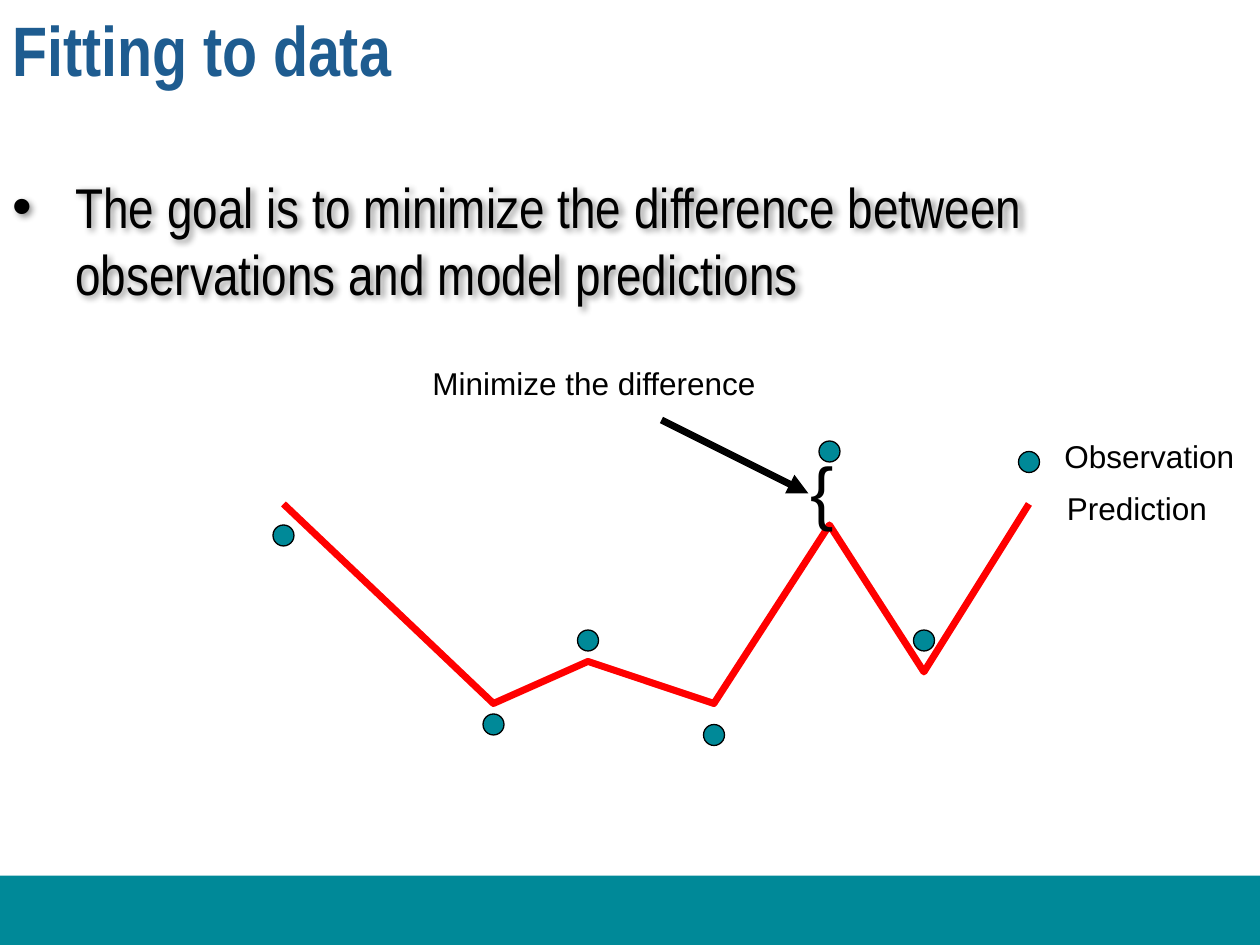
import pptx
import pptx.util
import pptx.dml.color
import pptx.enum.shapes
import pptx.enum.text
import pptx.oxml
import pptx.oxml.ns

Pt = pptx.util.Pt
Kind = pptx.enum.shapes.MSO_SHAPE
Align = pptx.enum.text.PP_ALIGN


class Theme:
    teal, blue, red, black = "008998", "1E5C90", "FF0000", "000000"
    head, body = "Arial Narrow", "Arial"
    title, goal, label, brace = 40, 32, 18, 40
    thick, thin = 4, 0.75


WIDE, HIGH, FOOT = 720, 540, 39.6
DOT = 12
TITLE = "Fitting to data"
GOAL = "The goal is to minimize the difference between observations and model predictions"

# Points of the model curve and centres of the observations
MODEL = [(162, 288), (282, 402), (336, 378), (408, 402),
         (474, 300), (528, 384), (588, 288)]
SEEN = [(162, 306), (282, 414), (336, 366), (408, 420),
        (474, 258), (528, 366)]
KEY = (588, 264)
ARROW = (378, 240, 462, 282)

# Text, left, top, width, height, size, alignment
LABELS = [
    ("Observation", 601.2, 246.2, 112.3, 28.8, Theme.label, Align.LEFT),
    ("Prediction", 602.6, 275.8, 95, 28.8, Theme.label, Align.LEFT),
    ("Minimize the difference", 239, 204.5, 200.9, 28.8, Theme.label, Align.CENTER),
    ("{", 455.8, 252, 28.1, 55.4, Theme.brace, Align.LEFT),
]


def color(code):
    return pptx.dml.color.RGBColor.from_string(code)


def add_xml(parent, text):
    space = pptx.oxml.ns.nsdecls("a")
    parent.append(pptx.oxml.parse_xml(text.replace(" ", f" {space} ", 1)))


def paint(item, fill=None, line=None, width=0):
    item.shadow.inherit = False
    if fill:
        item.fill.solid()
        item.fill.fore_color.rgb = color(fill)
    else:
        item.fill.background()
    if line:
        item.line.color.rgb = color(line)
        item.line.width = Pt(width)
    else:
        item.line.fill.background()


def add_text(slide, text, box, size, face, ink=Theme.black, bold=False, wrap=True):
    item = slide.shapes.add_textbox(*map(Pt, box))
    frame = item.text_frame
    frame.text = text
    frame.word_wrap = wrap
    font = frame.paragraphs[0].runs[0].font
    font.size, font.name, font.bold = Pt(size), face, bold
    font.color.rgb = color(ink)
    return item


def add_goal(slide):
    item = add_text(slide, GOAL, (0, 95, WIDE, 356.4), Theme.goal, Theme.head)
    para = item.text_frame.paragraphs[0]
    para.space_before = Pt(0.2 * Theme.goal)
    props = para._p.get_or_add_pPr()
    props.set("marL", str(Pt(36)))
    props.set("indent", str(Pt(-36)))
    add_xml(props, '<a:buFont typeface="Arial"/>')
    add_xml(props, '<a:buChar char="•"/>')
    add_xml(item._element.spPr,
            f'<a:effectLst ><a:outerShdw blurRad="{Pt(4)}" dist="{Pt(3)}" dir="2700000">'
            '<a:srgbClr val="000000"><a:alpha val="43000"/></a:srgbClr>'
            '</a:outerShdw></a:effectLst>')


def add_dot(slide, x, y):
    box = (x - DOT / 2, y - DOT / 2, DOT, DOT)
    dot = slide.shapes.add_shape(Kind.OVAL, *map(Pt, box))
    paint(dot, Theme.teal, Theme.black, Theme.thin)


def add_curve(slide):
    start, *rest = [(Pt(x), Pt(y)) for x, y in MODEL]
    path = slide.shapes.build_freeform(*start)
    path.add_line_segments(rest, close=False)
    paint(path.convert_to_shape(), None, Theme.red, Theme.thick)


def add_arrow(slide):
    kind = pptx.enum.shapes.MSO_CONNECTOR.STRAIGHT
    arrow = slide.shapes.add_connector(kind, *map(Pt, ARROW))
    arrow.line.color.rgb = color(Theme.black)
    arrow.line.width = Pt(Theme.thick)
    add_xml(arrow.line._get_or_add_ln(), '<a:tailEnd type="triangle"/>')
    add_xml(arrow._element.spPr, "<a:effectLst />")


def main():
    deck = pptx.Presentation()
    deck.slide_width, deck.slide_height = Pt(WIDE), Pt(HIGH)
    slide = deck.slides.add_slide(deck.slide_layouts[6])

    band = (0, HIGH - FOOT, WIDE, FOOT)
    paint(slide.shapes.add_shape(Kind.RECTANGLE, *map(Pt, band)), Theme.teal)
    add_goal(slide)
    add_text(slide, TITLE, (0, 0, WIDE, 53.3), Theme.title, Theme.head,
             Theme.blue, bold=True)

    add_arrow(slide)
    add_curve(slide)
    for x, y in SEEN + [KEY]:
        add_dot(slide, x, y)
    for text, *box, size, align in LABELS:
        item = add_text(slide, text, box, size, Theme.body, wrap=False)
        item.text_frame.paragraphs[0].alignment = align
    deck.save("out.pptx")


if __name__ == "__main__":
    main()
